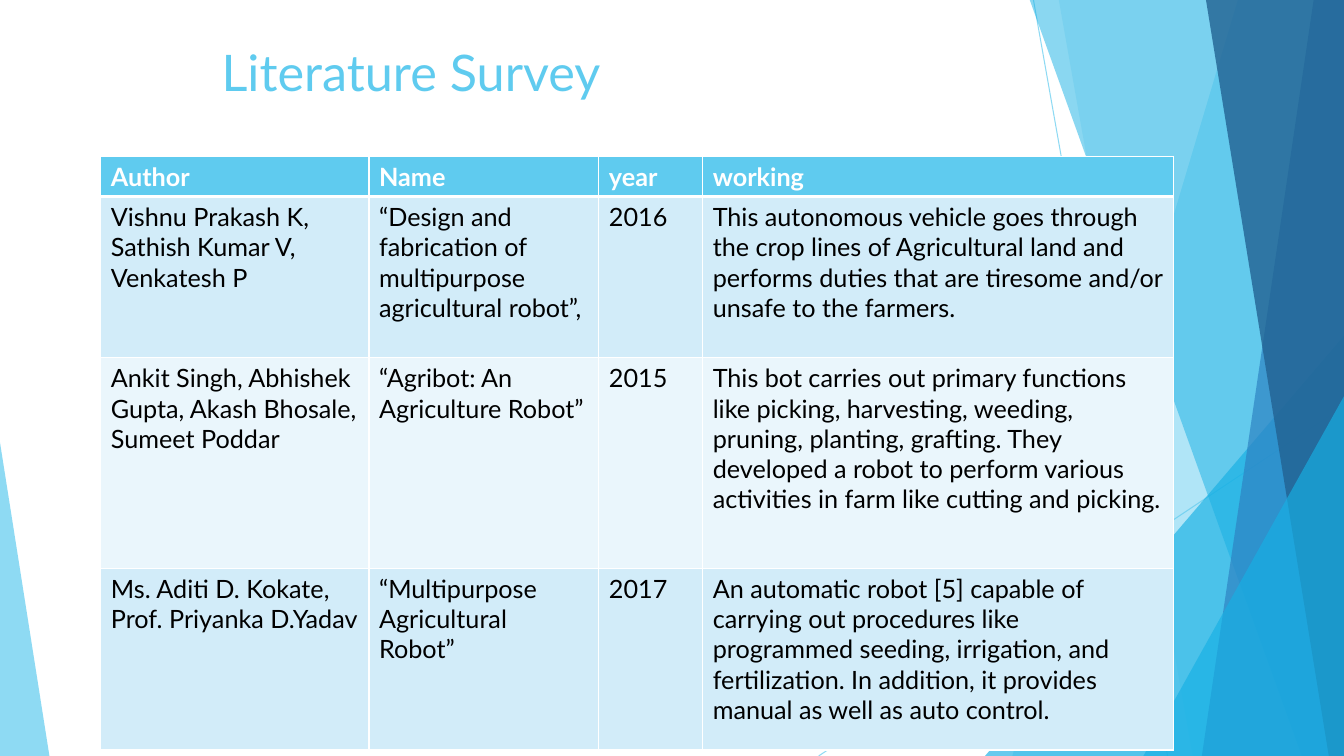
from dataclasses import dataclass

from lxml.etree import SubElement
from pptx import Presentation
from pptx.dml.color import RGBColor
from pptx.enum.shapes import MSO_CONNECTOR as CONN, MSO_SHAPE as SHAPE
from pptx.oxml.ns import qn
from pptx.util import Inches, Pt


@dataclass(frozen=True)
class Theme:
    font: str = "Lato"
    title_size: int = 36
    body_size: int = 18
    sky: str = "5FCBEF"
    cyan: str = "17B0E4"
    blue: str = "2E83C3"
    navy: str = "226292"
    band_dark: str = "D2ECF9"
    band_light: str = "EAF6FC"
    white: str = "FFFFFF"
    black: str = "000000"


def put_text(tf, text, *, font, size, color, bold=False):
    tf.word_wrap = True
    r = tf.paragraphs[0].add_run()
    r.text = text
    r.font.name = font
    r.font.size = Pt(size)
    r.font.bold = bold
    r.font.color.rgb = RGBColor.from_string(color)


def paint(fill, color, alpha=100):
    fill.solid()
    fill.fore_color.rgb = RGBColor.from_string(color)
    if alpha < 100:
        clr = fill._xPr.find(qn("a:solidFill"))[0]
        SubElement(clr, qn("a:alpha"), val=str(alpha * 1000))


class Deck:
    def __init__(self, theme):
        self.theme = theme
        self.prs = Presentation()
        self.prs.slide_width = Inches(13.33)
        self.prs.slide_height = Inches(7.5)
        self.s = self.prs.slides.add_slide(self.prs.slide_layouts[6])
        paint(self.s.background.fill, theme.white)

    def line(self, start, end, color, width, alpha):
        points = [Inches(v) for v in (*start, *end)]
        c = self.s.shapes.add_connector(CONN.STRAIGHT, *points)
        c.line.width = Pt(width)
        paint(c.line.fill, color, alpha)
        SubElement(c._element.spPr, qn("a:effectLst"))

    def finish(self, sp, color, alpha):
        sp.shadow.inherit = False
        paint(sp.fill, color, alpha)
        sp.line.fill.background()

    def polygon(self, points, color, alpha):
        corners = [(Inches(x), Inches(y)) for x, y in points]
        builder = self.s.shapes.build_freeform(*corners[0])
        builder.add_line_segments(corners[1:], close=True)
        self.finish(builder.convert_to_shape(), color, alpha)

    def facet(self, top_x, bottom_x, color, alpha):
        points = [(top_x, -0.01), (13.33, -0.01), (13.33, 7.5), (bottom_x, 7.5)]
        self.polygon(points, color, alpha)

    def triangle(self, box, peak, color, alpha):
        sp = self.s.shapes.add_shape(
            SHAPE.ISOSCELES_TRIANGLE, *[Inches(v) for v in box])
        sp.adjustments[0] = peak
        self.finish(sp, color, alpha)

    def title(self, text, box):
        t = self.theme
        sp = self.s.shapes.add_textbox(*[Inches(v) for v in box])
        put_text(sp.text_frame, text, font=t.font, size=t.title_size, color=t.sky)

    def border(self, cell, side, width):
        ln = SubElement(cell._tc.get_or_add_tcPr(), qn(f"a:ln{side}"),
                        w=str(Pt(width)))
        fill = SubElement(ln, qn("a:solidFill"))
        SubElement(fill, qn("a:srgbClr"), val=self.theme.white)

    def table(self, rows, left, top, widths, heights):
        t = self.theme
        frame = self.s.shapes.add_table(
            len(rows), len(widths), Inches(left), Inches(top),
            Inches(sum(widths)), Inches(sum(heights)))
        tbl = frame.table
        for col, width in zip(tbl.columns, widths):
            col.width = Inches(width)
        for i, (row, height) in enumerate(zip(rows, heights)):
            tbl.rows[i].height = Inches(height)
            header = i == 0
            band = t.sky if header else t.band_dark if i % 2 else t.band_light
            for j, text in enumerate(row):
                cell = tbl.cell(i, j)
                for side in "LRTB":
                    thick = (i, side) in ((0, "B"), (1, "T"))
                    self.border(cell, side, 3 if thick else 1)
                paint(cell.fill, band)
                put_text(cell.text_frame, text, font=t.font, size=t.body_size,
                         color=t.white if header else t.black, bold=header)


SURVEY = [
    ("Author", "Name", "year", "working"),
    ("Vishnu Prakash K, Sathish Kumar V, Venkatesh P",
     "“Design and fabrication of multipurpose agricultural robot”,",
     "2016",
     "This autonomous vehicle goes through the crop lines of Agricultural land "
     "and performs duties that are tiresome and/or unsafe to the farmers."),
    ("Ankit Singh, Abhishek Gupta, Akash Bhosale, Sumeet Poddar",
     "“Agribot: An Agriculture Robot”",
     "2015",
     "This bot carries out primary functions like picking, harvesting, weeding, "
     "pruning, planting, grafting. They developed a robot to perform various "
     "activities in farm like cutting and picking."),
    ("Ms. Aditi D. Kokate, Prof. Priyanka D.Yadav",
     "“Multipurpose Agricultural Robot”",
     "2017",
     "An automatic robot [5] capable of carrying out procedures like programmed "
     "seeding, irrigation, and fertilization. In addition, it provides manual "
     "as well as auto control."),
]


def main():
    t = Theme()
    deck = Deck(t)
    for start, end in (((10.25, 0), (11.58, 7.5)), ((13.33, 4.03), (8.12, 7.5))):
        deck.line(start, end, t.sky, 0.75, 70)
    deck.facet(12.28, 10.04, t.sky, 36)
    deck.facet(10.5, 11.83, t.sky, 20)
    deck.triangle((9.77, 3.33, 3.56, 4.17), 1, t.cyan, 66)
    deck.facet(10.21, 12.91, t.cyan, 50)
    deck.facet(13.03, 11.92, t.blue, 70)
    deck.facet(11.96, 13.18, t.navy, 80)
    deck.triangle((11.34, 3.93, 1.99, 3.57), 1, t.cyan, 66)
    deck.triangle((0, 4.39, 0.49, 3.11), 0, t.sky, 70)
    deck.title("Literature Survey", (2.1, 0.36, 8.17, 1.25))
    deck.table(SURVEY, 1, 1.55, (2.66, 2.28, 1.03, 4.67), (0.4, 1.6, 2.09, 1.8))
    deck.prs.save("out.pptx")


if __name__ == "__main__":
    main()
